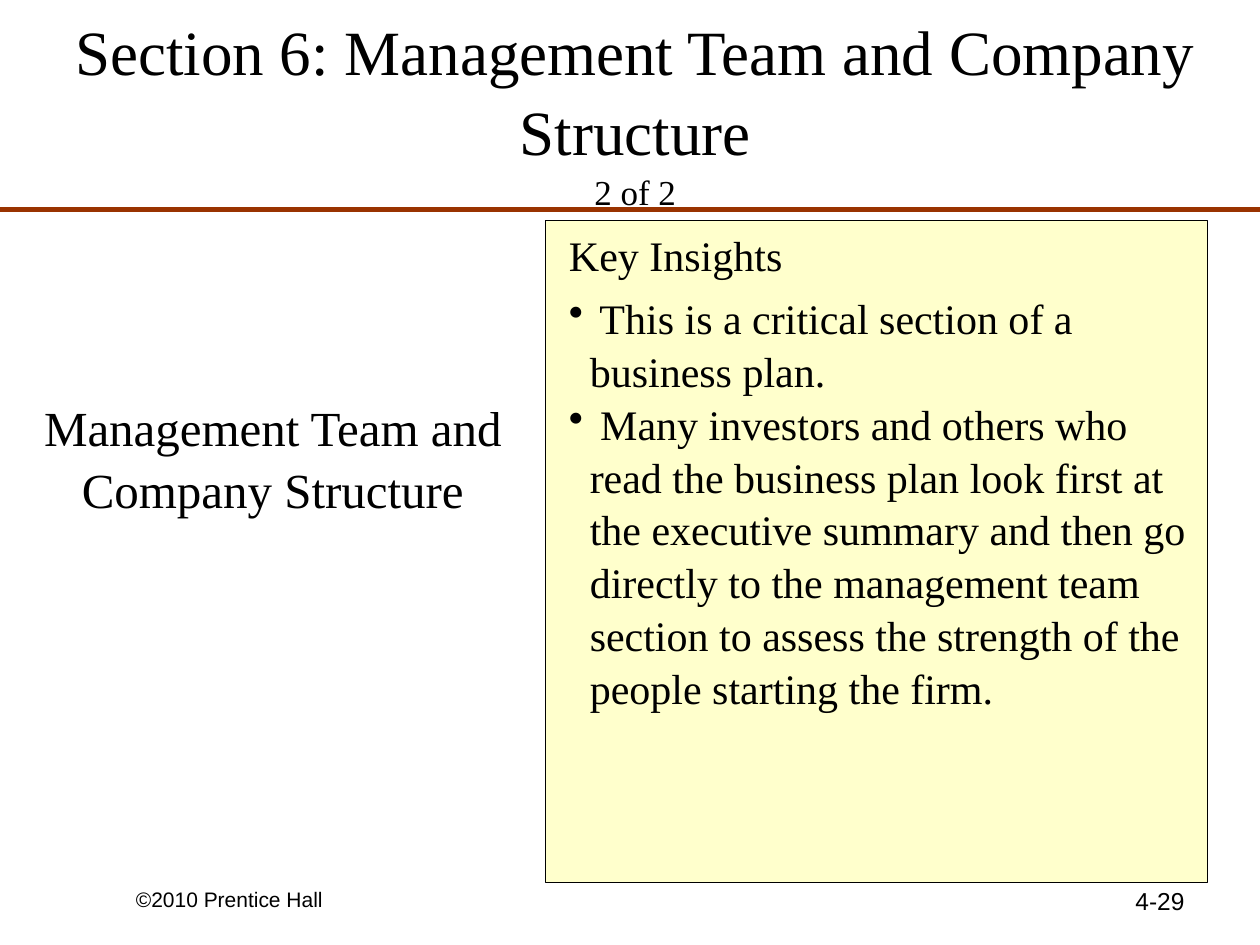
from pptx import Presentation
from pptx.dml.color import RGBColor
from pptx.enum.shapes import MSO_CONNECTOR, MSO_SHAPE
from pptx.enum.text import MSO_ANCHOR, MSO_AUTO_SIZE, PP_ALIGN
from pptx.oxml import parse_xml
from pptx.oxml.ns import nsdecls
from pptx.util import Cm, Pt

LEFT, CENTER, RIGHT = PP_ALIGN.LEFT, PP_ALIGN.CENTER, PP_ALIGN.RIGHT
TITLE_ONLY = 5
SERIF, SANS = "Times New Roman", "Arial"
BLACK, RUST, CREAM = "000000", "993300", "FFFFCC"
SERIF_SPACING = 1.05
BULLET_INDENT = Cm(0.42)

INSIGHTS = [
    " This is a critical section of a business plan.",
    " Many investors and others who read the business plan look first at "
    "the executive summary and then go directly to the management team "
    "section to assess the strength of the people starting the firm.",
]


def color(value):
    return RGBColor.from_string(value)


def place(shape, left, top, width, height):
    shape.left, shape.top = Cm(left), Cm(top)
    shape.width, shape.height = Cm(width), Cm(height)


def add_run(paragraph, text, size, font_name=SERIF):
    run = paragraph.add_run()
    run.text = text
    run.font.name = font_name
    run.font.size = Pt(size)
    run.font.color.rgb = color(BLACK)


def add_bullet(paragraph):
    properties = paragraph._p.get_or_add_pPr()
    properties.set("marL", str(BULLET_INDENT))
    properties.set("indent", str(-BULLET_INDENT))
    properties.append(parse_xml(f'<a:buChar {nsdecls("a")} char="•"/>'))


def add_text(slide, box, paragraphs, size, font_name=SERIF, alignment=LEFT, bulleted=False):
    frame = slide.shapes.add_textbox(*map(Cm, box)).text_frame
    frame.word_wrap = True
    for index, text in enumerate(paragraphs):
        paragraph = frame.add_paragraph() if index else frame.paragraphs[0]
        if bulleted:
            add_bullet(paragraph)
        paragraph.alignment = alignment
        if font_name == SERIF:
            paragraph.line_spacing = SERIF_SPACING
        add_run(paragraph, text, size, font_name)


def fill_title(slide):
    title = slide.shapes.title
    place(title, 0.84, 0.64, 23.93, 3.18)
    frame = title.text_frame
    frame.word_wrap = True
    frame.auto_size = MSO_AUTO_SIZE.NONE
    frame.vertical_anchor = MSO_ANCHOR.MIDDLE
    paragraph = frame.paragraphs[0]
    paragraph.alignment = CENTER
    paragraph.line_spacing = SERIF_SPACING
    add_run(paragraph, "Section 6: Management Team and Company Structure", 36)
    paragraph.add_line_break()
    add_run(paragraph, "2 of 2", 20)


def add_rule(slide, top, width):
    rule = slide.shapes.add_connector(MSO_CONNECTOR.STRAIGHT, 0, Cm(top), width, Cm(top))
    rule.line.color.rgb = color(RUST)
    rule.line.width = Pt(3)
    rule._element.spPr.append(parse_xml(f'<a:effectLst {nsdecls("a")}/>'))


def add_panel(slide, box):
    panel = slide.shapes.add_shape(MSO_SHAPE.RECTANGLE, *map(Cm, box))
    panel.shadow.inherit = False
    panel.fill.solid()
    panel.fill.fore_color.rgb = color(CREAM)
    panel.line.color.rgb = color(BLACK)
    panel.line.width = Pt(0.75)


def main():
    presentation = Presentation()
    presentation.slide_width, presentation.slide_height = Cm(25.4), Cm(19.05)
    slide = presentation.slides.add_slide(presentation.slide_layouts[TITLE_ONLY])

    # Title and the rule below it
    fill_title(slide)
    add_rule(slide, 4.23, presentation.slide_width)

    # Topic on the left
    add_text(slide, (0, 7.83, 11, 2.64), ["Management Team and Company Structure"],
             28, alignment=CENTER)

    # Key insights panel
    add_panel(slide, (11, 4.45, 13.34, 13.34))
    add_text(slide, (11.22, 4.45, 12.91, 1.27), ["Key Insights"], 24)
    add_text(slide, (11.22, 5.72, 13, 8.38), INSIGHTS, 24, bulleted=True)

    # Footer
    add_text(slide, (2.49, 17.75, 5.92, 0.69), ["©2010 Prentice Hall"], 12, SANS)
    add_text(slide, (18.21, 17.73, 5.92, 1.32), ["4-29"], 14, SANS, RIGHT)

    presentation.save("out.pptx")


if __name__ == "__main__":
    main()
